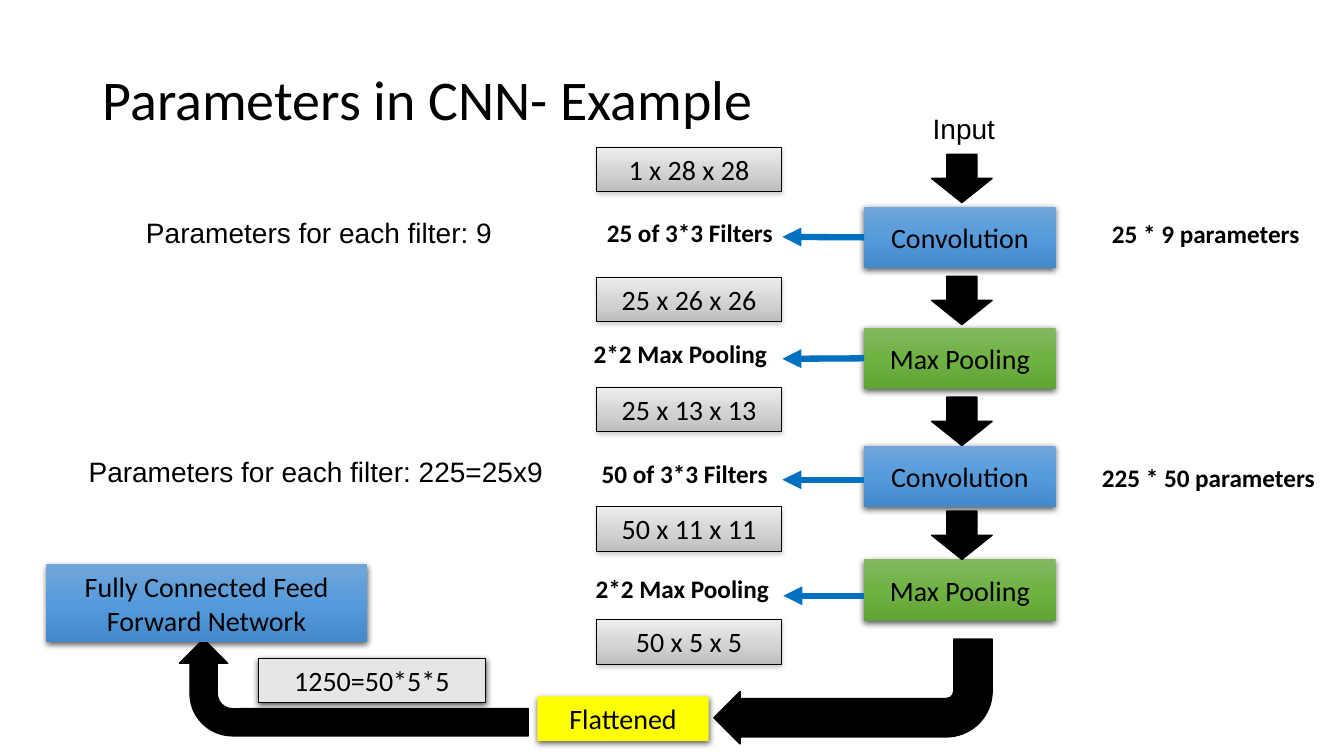
from dataclasses import dataclass
from typing import Optional

import pptx
import pptx.dml.color
import pptx.enum.dml
import pptx.enum.shapes
import pptx.enum.text
import pptx.oxml
import pptx.oxml.ns
import pptx.util

PX = 9144  # EMU per px, 100 px to the inch
MSO = pptx.enum.shapes.MSO_SHAPE
ALIGN = pptx.enum.text.PP_ALIGN
ANCHOR = pptx.enum.text.MSO_ANCHOR
NS = pptx.oxml.ns.nsdecls("a")

Stops = tuple[tuple[int, str], ...]  # percent along the gradient, colour


@dataclass(frozen=True)
class Shadow:
    color: str
    alpha: int
    blur: float
    distance: float


@dataclass(frozen=True)
class Theme:
    ink: str = "000000"
    pointer: str = "0070C0"
    flattened: str = "FFFF00"
    pale: str = "E7E6E6"
    blue: Stops = ((0, "71A6DB"), (50, "559BDB"), (100, "448ACA"))
    green: Stops = ((0, "81B861"), (50, "6FB242"), (100, "62A336"))
    grey: Stops = ((0, "EDEDED"), (65, "D0D0D0"), (100, "BCBCBC"))
    strong_shadow: Shadow = Shadow("000000", 63, 4.5, 1.5)
    soft_shadow: Shadow = Shadow("808080", 38, 3.1, 1.6)
    heading_font: str = "Calibri"
    note_font: str = "Arial"
    title_size: int = 40
    body_size: int = 20
    label_size: int = 18
    outline: float = 0.75
    arrow_outline: float = 1
    pointer_width: float = 4.5


THEME = Theme()


@dataclass(frozen=True)
class Area:
    left: int
    top: int
    width: int
    height: int

    def emu(self) -> tuple[int, int, int, int]:
        return self.left * PX, self.top * PX, self.width * PX, self.height * PX


@dataclass(frozen=True)
class Box:
    text: str
    area: Area
    fill: Stops | str
    shadow: Shadow = THEME.strong_shadow
    outlined: bool = False
    anchor: ANCHOR = ANCHOR.TOP


@dataclass(frozen=True)
class Label:
    text: str
    area: Area
    size: int = THEME.label_size
    font: str = THEME.heading_font
    bold: bool = False
    align: ALIGN = ALIGN.LEFT
    anchor: ANCHOR = ANCHOR.TOP
    spacing: Optional[float] = None


@dataclass(frozen=True)
class Arrow:
    kind: MSO
    area: Area
    rotation: int = 0
    adjustments: tuple[float, ...] = ()


@dataclass(frozen=True)
class Stage:
    name: str
    top: int
    fill: Stops
    arrow_top: int
    pointer_y: int
    pointer_end: int
    detail: str
    detail_left: int
    detail_top: int


def rgb(value: str) -> pptx.dml.color.RGBColor:
    return pptx.dml.color.RGBColor.from_string(value)


def write(shape, text: str, size: int, font: str, align: ALIGN, anchor: ANCHOR, bold: bool = False) -> None:
    frame = shape.text_frame
    frame.text = text
    frame.word_wrap = True
    frame.vertical_anchor = anchor
    line = frame.paragraphs[0]
    line.alignment = align
    style = line.runs[0].font
    style.size, style.name, style.bold = pptx.util.Pt(size), font, bold
    style.color.rgb = rgb(THEME.ink)


def paint(shape, fill: Stops | str) -> None:
    if isinstance(fill, str):
        shape.fill.solid()
        shape.fill.fore_color.rgb = rgb(fill)
        return
    shape.fill.gradient()
    shape.fill.gradient_angle = 270
    stops = shape.element.spPr.find(".//" + pptx.oxml.ns.qn("a:gsLst"))
    for stop in list(stops):
        stops.remove(stop)
    for percent, color in fill:
        stops.append(pptx.oxml.parse_xml(
            f'<a:gs {NS} pos="{percent * 1000}"><a:srgbClr val="{color}"/></a:gs>'))


def cast_shadow(shape, shadow: Shadow) -> None:
    shape.shadow.inherit = False
    effects = shape.element.spPr.find(pptx.oxml.ns.qn("a:effectLst"))
    effects.append(pptx.oxml.parse_xml(
        f'<a:outerShdw {NS} blurRad="{pptx.util.Pt(shadow.blur)}" dist="{pptx.util.Pt(shadow.distance)}" '
        f'dir="5400000" rotWithShape="0"><a:srgbClr val="{shadow.color}">'
        f'<a:alpha val="{shadow.alpha * 1000}"/></a:srgbClr></a:outerShdw>'))


def draw_box(slide, box: Box):
    shape = slide.shapes.add_shape(MSO.RECTANGLE, *box.area.emu())
    paint(shape, box.fill)
    if box.outlined:
        shape.line.color.rgb = rgb(THEME.ink)
        shape.line.width = pptx.util.Pt(THEME.outline)
    else:
        shape.line.fill.background()
    cast_shadow(shape, box.shadow)
    write(shape, box.text, THEME.body_size, THEME.heading_font, ALIGN.CENTER, box.anchor)
    return shape


def draw_label(slide, label: Label) -> None:
    shape = slide.shapes.add_textbox(*label.area.emu())
    write(shape, label.text, label.size, label.font, label.align, label.anchor, label.bold)
    if label.spacing:
        shape.text_frame.paragraphs[0].line_spacing = label.spacing


def draw_arrow(slide, arrow: Arrow) -> None:
    shape = slide.shapes.add_shape(arrow.kind, *arrow.area.emu())
    for index, value in enumerate(arrow.adjustments):
        shape.adjustments[index] = value
    shape.rotation = arrow.rotation
    paint(shape, THEME.ink)
    shape.line.color.rgb = rgb(THEME.ink)
    shape.line.width = pptx.util.Pt(THEME.arrow_outline)
    shape.shadow.inherit = False


def draw_stage(slide, stage: Stage) -> None:
    area = Area(857, stage.top, 190, 61)
    layer = draw_box(slide, Box(stage.name, area, stage.fill, anchor=ANCHOR.MIDDLE))
    draw_arrow(slide, Arrow(MSO.DOWN_ARROW, Area(924, stage.arrow_top, 60, 48)))
    y = stage.pointer_y * PX
    pointer = slide.shapes.add_connector(
        pptx.enum.shapes.MSO_CONNECTOR.STRAIGHT, area.left * PX, y, stage.pointer_end * PX, y)
    if abs(2 * stage.pointer_y - 2 * area.top - area.height) <= 1:
        pointer.begin_connect(layer, 1)
    pointer.line.color.rgb = rgb(THEME.pointer)
    pointer.line.width = pptx.util.Pt(THEME.pointer_width)
    pointer.line._get_or_add_ln().append(pptx.oxml.parse_xml(f'<a:tailEnd {NS} type="triangle"/>'))
    pointer.element.spPr.append(pptx.oxml.parse_xml(f"<a:effectLst {NS}/>"))
    draw_label(slide, Label(stage.detail, Area(stage.detail_left, stage.detail_top, 263, 40), bold=True))


STAGES = (
    Stage("Convolution", 205, THEME.blue, 153, 235, 776, "25 of 3*3 Filters", 592, 211),
    Stage("Max Pooling", 325, THEME.green, 274, 356, 776, "2*2 Max Pooling", 579, 331),
    Stage("Convolution", 442, THEME.blue, 394, 476, 776, "50 of 3*3 Filters", 587, 450),
    Stage("Max Pooling", 555, THEME.green, 507, 591, 777, "2*2 Max Pooling", 581, 564),
)
DIMENSIONS = (("1 x 28 x 28", 146), ("25 x 26 x 26", 275), ("25 x 13 x 13", 384),
              ("50 x 11 x 11", 503), ("50 x 5 x 5", 615))
LABELS = (
    Label("Parameters in CNN- Example", Area(92, 29, 1150, 145), THEME.title_size,
          anchor=ANCHOR.MIDDLE, spacing=0.9),
    Label("Input", Area(844, 106, 224, 44), THEME.body_size, THEME.note_font, align=ALIGN.CENTER),
    Label("Parameters for each filter: 9", Area(135, 209, 380, 44), THEME.body_size, THEME.note_font),
    Label("Parameters for each filter: 225=25x9", Area(78, 446, 552, 84), THEME.body_size, THEME.note_font),
    Label("25 * 9 parameters", Area(1093, 212, 240, 40), bold=True),
    Label("225 * 50 parameters", Area(1083, 454, 250, 40), bold=True),
)
BENDS = (
    Arrow(MSO.BENT_ARROW, Area(708, 634, 276, 104), 180, (0.366, 0.25, 0.25, 0.438)),
    Arrow(MSO.BENT_ARROW, Area(303, 509, 96, 346), 270, (0.281, 0.25, 0.25, 0.438)),
)
OUTPUTS = (
    Box("Flattened", Area(533, 691, 170, 44), THEME.flattened),
    Box("1250=50*5*5", Area(256, 653, 226, 44), THEME.pale, outlined=True),
    Box("Fully Connected Feed Forward Network", Area(46, 560, 318, 77), THEME.blue),
)


def main() -> None:
    deck = pptx.Presentation()
    deck.slide_width, deck.slide_height = 1333 * PX, 750 * PX
    slide = deck.slides.add_slide(deck.slide_layouts[6])

    # Title and notes
    for label in LABELS:
        draw_label(slide, label)
    # Network stages and the sizes between them
    for stage in STAGES:
        draw_stage(slide, stage)
    for size, top in DIMENSIONS:
        draw_box(slide, Box(size, Area(592, top, 183, 44), THEME.grey, THEME.soft_shadow, True))
    # Flattening into the final network
    for bend in BENDS:
        draw_arrow(slide, bend)
    for output in OUTPUTS:
        draw_box(slide, output)

    deck.save("out.pptx")


if __name__ == "__main__":
    main()
